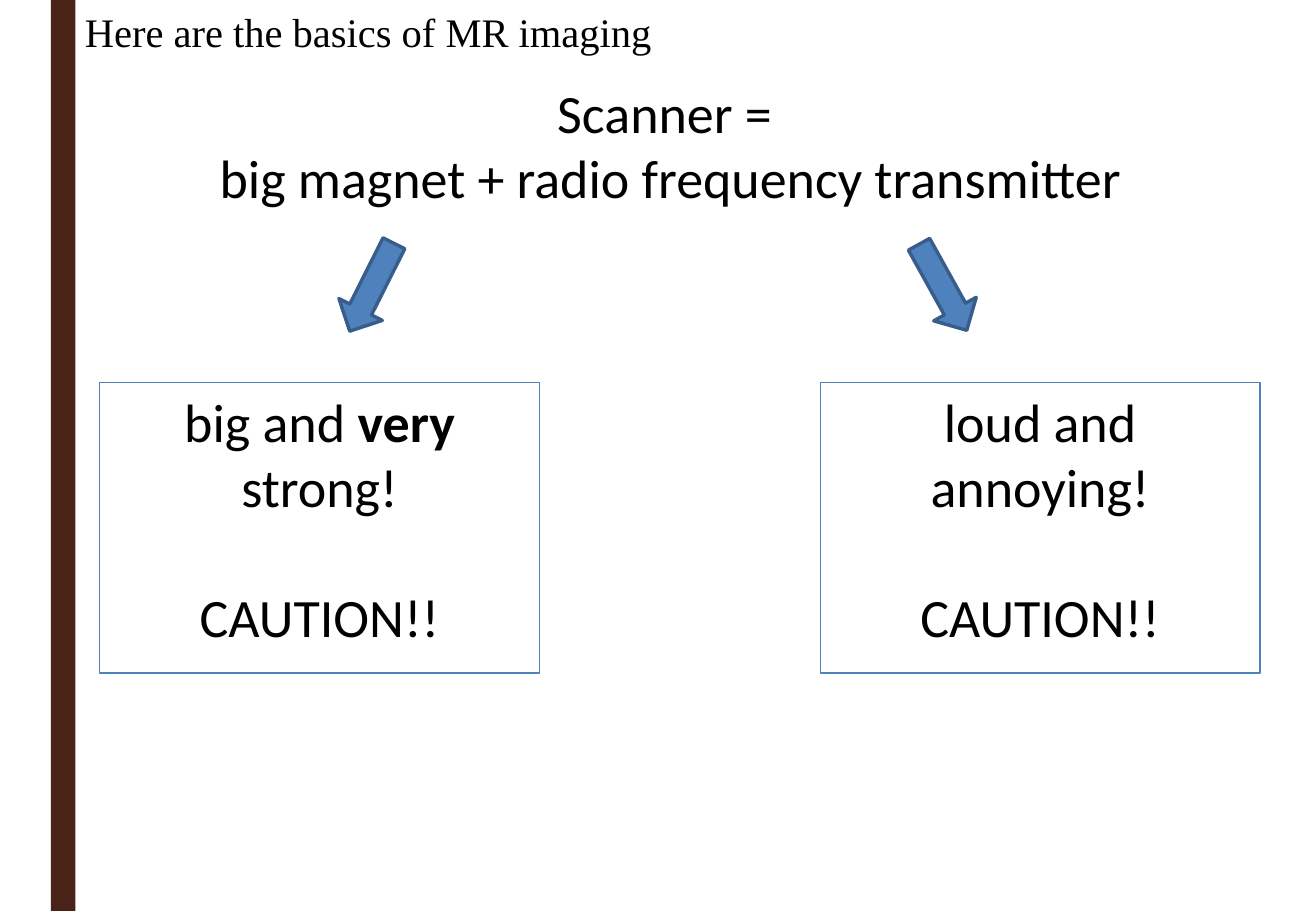
import pptx
import pptx.util
import pptx.dml.color
import pptx.enum.shapes
import pptx.enum.text

Inches = pptx.util.Inches
Pt = pptx.util.Pt
RGBColor = pptx.dml.color.RGBColor
MSO_SHAPE = pptx.enum.shapes.MSO_SHAPE
CENTER = pptx.enum.text.PP_ALIGN.CENTER
TOP = pptx.enum.text.MSO_ANCHOR.TOP

BROWN = RGBColor(0x4A, 0x23, 0x18)
BLUE = RGBColor(0x4F, 0x81, 0xBD)
NAVY = RGBColor(0x38, 0x5D, 0x8A)
BLACK = RGBColor(0, 0, 0)

deck = pptx.Presentation()
deck.slide_width = Inches(10.83)
deck.slide_height = Inches(7.5)
slide = deck.slides.add_slide(deck.slide_layouts[6])
shapes = slide.shapes


def add_plain(kind, left, top, width, height):
    """Add a preset shape without a shadow."""
    shape = shapes.add_shape(kind, Inches(left), Inches(top),
                             Inches(width), Inches(height))
    shape.shadow.inherit = False
    return shape


def write(shape, lines, size, font, align=None):
    """Set one paragraph per line, each a list of (words, bold) runs."""
    frame = shape.text_frame
    frame.word_wrap = True
    frame.vertical_anchor = TOP
    frame.text = "\n".join([""] * len(lines))
    for par, line in zip(frame.paragraphs, lines):
        par.alignment = align
        for words, bold in line:
            run = par.add_run()
            run.text = words
            run.font.size = Pt(size)
            run.font.name = font
            run.font.bold = bold
            run.font.color.rgb = BLACK


bar = add_plain(MSO_SHAPE.RECTANGLE, 0.42, 0, 0.2, 7.5)
bar.fill.solid()
bar.fill.fore_color.rgb = BROWN
bar.line.fill.background()

# Each effect: box left, arrow left, arrow turn, first line
effects = [
    (0.82, 2.86, 26.7, [("big and ", False), ("very ", True), ("strong!", False)]),
    (6.75, 7.56, 331, [("loud and annoying!", False)]),
]
for left, tip, turn, line in effects:
    arrow = add_plain(MSO_SHAPE.DOWN_ARROW, tip, 1.96, 0.4, 0.81)
    arrow.rotation = turn
    arrow.fill.solid()
    arrow.fill.fore_color.rgb = BLUE
    arrow.line.color.rgb = NAVY
    arrow.line.width = Pt(2)

    box = add_plain(MSO_SHAPE.RECTANGLE, left, 3.15, 3.62, 2.39)
    box.fill.background()
    box.line.color.rgb = BLUE
    box.line.width = Pt(0.75)
    write(box, [line, [("CAUTION!!", False)]], 32, "Calibri", CENTER)
    box.text_frame.paragraphs[1].space_before = Pt(39)

title = shapes.add_textbox(Inches(0.6), Inches(0.01), Inches(4.91), Inches(0.57))
write(title, [[("Here are the basics of MR imaging", False)]], 24, "Times New Roman")

scanner = shapes.add_textbox(Inches(0.6), Inches(0.61), Inches(9.84), Inches(1.2))
write(scanner, [[("Scanner = ", False)],
                [("big magnet + radio frequency transmitter", False)]],
      32, "Calibri", CENTER)

deck.save("out.pptx")
